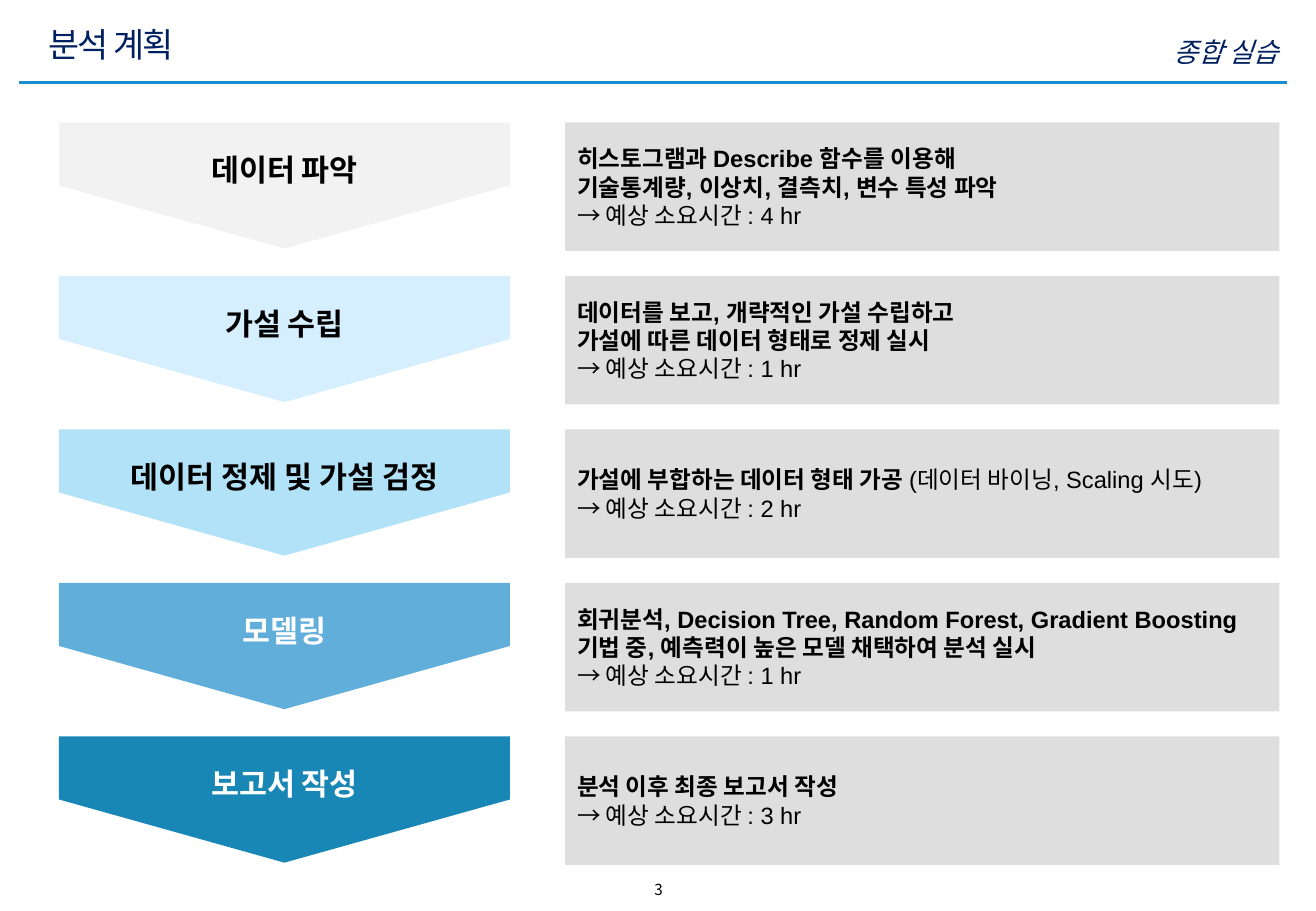
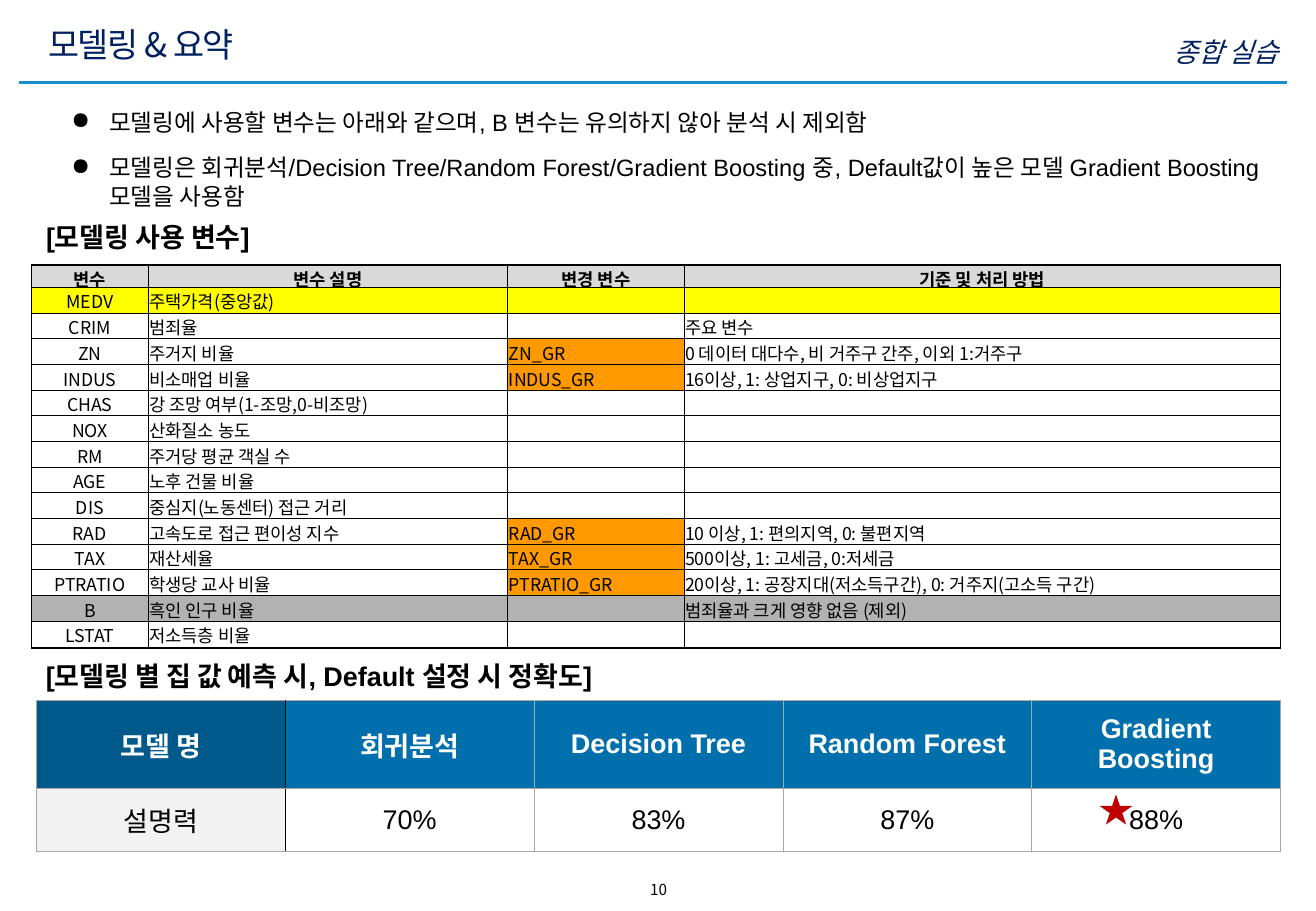
import lxml.etree
import pptx
import pptx.dml.color
import pptx.enum.shapes
import pptx.enum.text
import pptx.oxml.ns
import pptx.util

Pt = pptx.util.Pt
RGB = pptx.dml.color.RGBColor.from_string
qn = pptx.oxml.ns.qn
SubElement = lxml.etree.SubElement
SHAPE = pptx.enum.shapes.MSO_SHAPE
ALIGN = pptx.enum.text.PP_ALIGN
ANCHOR = pptx.enum.text.MSO_ANCHOR

COLOURS = {
    "black": "000000", "white": "FFFFFF", "navy": "002060", "rule": "188DD0",
    "panel": "BFBFBF", "step1": "F2F2F2", "step2": "D5EFFE", "step3": "B2E2F8",
    "step4": "61AEDA", "step5": "1887B5", "header": "D9D9D9", "target": "FFFF00",
    "derived": "FF9900", "excluded": "B2B2B2", "grid": "A6A6A6",
    "corner": "00598B", "model": "006FAC", "label": "F2F2F2", "star": "C00000",
}
KR, SC, LATIN = "Noto Sans CJK KR", "Noto Sans CJK SC", "Arial"

prs = pptx.Presentation()
prs.slide_width = pptx.util.Inches(10.83)
prs.slide_height = pptx.util.Inches(7.5)
W, H = prs.slide_width / 100, prs.slide_height / 100


def put(s, kind, box, lines=(), size=14, colour="black", font=LATIN, bold=False,
        italic=False, align=ALIGN.LEFT, anchor=ANCHOR.TOP, fill=None):
    """Add a text box (kind None) or preset shape; box is in percent of the slide."""
    x, y, w, h = box
    pos = int(x * W), int(y * H), int(w * W), int(h * H)
    if kind is None:
        sp = s.shapes.add_textbox(*pos)
    else:
        sp = s.shapes.add_shape(kind, *pos)
        sp.shadow.inherit = False
        sp.fill.solid()
        sp.fill.fore_color.rgb = RGB(COLOURS[fill])
        sp.line.fill.background()
    tf = sp.text_frame
    tf.word_wrap = True
    tf.vertical_anchor = anchor
    for i, line in enumerate(lines):
        p = tf.paragraphs[0] if i == 0 else tf.add_paragraph()
        p.text = line
        p.alignment = align
        p.font.size, p.font.name = Pt(size), font
        p.font.bold, p.font.italic = bold, italic
        p.font.color.rgb = RGB(COLOURS[colour])
    return sp


def set_cell(cell, text, size, font, borders, colour="black", bold=False,
             align=ALIGN.CENTER, fill=None):
    """Write and style a cell; borders maps L, R, T, B to (colour, points)."""
    cell.vertical_anchor = ANCHOR.MIDDLE
    p = cell.text_frame.paragraphs[0]
    p.alignment = align
    p.font.size, p.font.name, p.font.bold = Pt(size), font, bold
    p.font.color.rgb = RGB(COLOURS[colour])
    if text:
        p.add_run().text = text
    else:
        SubElement(p._p, qn("a:endParaRPr"), sz=str(int(size * 100)))
    tcPr = cell._tc.get_or_add_tcPr()
    for side, (line, width) in borders.items():
        ln = SubElement(tcPr, qn("a:ln" + side), w=str(Pt(width)))
        SubElement(SubElement(ln, qn("a:solidFill")), qn("a:srgbClr"), val=COLOURS[line])
    if fill:
        cell.fill.solid()
        cell.fill.fore_color.rgb = RGB(COLOURS[fill])
    else:
        cell.fill.background()


# Shared frame: rule, page number, section tag and title
slides = []
for title, number in (("분석 계획", "3"), ("모델링 & 요약", "10")):
    s = prs.slides.add_slide(prs.slide_layouts[6])
    slides.append(s)
    rule = s.shapes.add_connector(pptx.enum.shapes.MSO_CONNECTOR.STRAIGHT,
                                  int(1.48 * W), int(9.07 * H), int(97.78 * W), int(9.07 * H))
    rule.line.color.rgb = RGB(COLOURS["rule"])
    rule.line.width = Pt(2)
    SubElement(rule._element.spPr, qn("a:effectLst"))
    put(s, None, (40.54, 96, 19.02, 3.33), [number], 9, font=KR, align=ALIGN.CENTER)
    put(s, None, (60.48, 3.2, 37.58, 4), ["종합 실습"], 16, "navy", KR,
        italic=True, align=ALIGN.RIGHT)
    sp = put(s, None, (2.77, 2, 78.58, 5.73), [title], 20, "navy", KR, anchor=ANCHOR.MIDDLE)
    sp.text_frame.paragraphs[0].runs[0].font._element.set("spc", "-100")
plan, summary = slides

# Plan: five steps, each a downward plate with a panel beside it
STEPS = [
    ("데이터 파악", "black", ["히스토그램과 Describe 함수를 이용해",
                         "기술통계량, 이상치, 결측치, 변수 특성 파악"], "", 4),
    ("가설 수립", "black", ["데이터를 보고, 개략적인 가설 수립하고",
                        "가설에 따른 데이터 형태로 정제 실시"], "", 1),
    ("데이터 정제 및 가설 검정", "black", ["가설에 부합하는 데이터 형태 가공 "],
     "(데이터 바이닝, Scaling 시도)", 2),
    ("모델링", "white", ["회귀분석, Decision Tree, Random Forest, Gradient Boosting "
                      "기법 중, 예측력이 높은 모델 채택하여 분석 실시"], "", 1),
    ("보고서 작성", "white", ["분석 이후 최종 보고서 작성"], "", 3),
]
STEP_TOP, STEP_PITCH = 13.43, 16.85
for i, (label, colour, work, remark, hours) in enumerate(STEPS):
    top = STEP_TOP + i * STEP_PITCH
    plate = put(plan, SHAPE.PENTAGON, (4.48, top, 34.26, 13.87), [label], 18, colour,
                bold=True, align=ALIGN.CENTER, anchor=ANCHOR.MIDDLE, fill=f"step{i + 1}")
    # The plate points right, so it is stood on end about its centre
    w, h = plate.width, plate.height
    plate.left, plate.top = plate.left + (w - h) // 2, plate.top + (h - w) // 2
    plate.width, plate.height = h, w
    plate.rotation = 90
    plate.text_frame._txBody.bodyPr.set("vert", "vert270")

    panel = put(plan, SHAPE.RECTANGLE, (42.94, top, 54.29, 14.13),
                work + [f"→ 예상 소요시간 : {hours} hr"],
                bold=True, anchor=ANCHOR.MIDDLE, fill="panel")
    rgb = panel._element.spPr.find(".//" + qn("a:srgbClr"))
    SubElement(rgb, qn("a:alpha"), val="50000")
    first, *_, last = panel.text_frame.paragraphs
    last.font.bold = False
    if remark:
        r = first.add_run()
        r.text = remark
        r.font.bold = False

# Summary: bullets and headings
NOTES = [
    "모델링에 사용할 변수는 아래와 같으며, B 변수는 유의하지 않아 분석 시 제외함",
    "모델링은 회귀분석/Decision Tree/Random Forest/Gradient Boosting 중, "
    "Default값이 높은 모델 Gradient Boosting 모델을 사용함",
]
sp = put(summary, None, (4.52, 11.2, 93.26, 13.33), NOTES)
indent = pptx.util.Inches(0.31)
for p in sp.text_frame.paragraphs:
    p.space_before = Pt(10)
    pPr = p._p.get_or_add_pPr()
    pPr.set("marL", str(indent))
    pPr.set("indent", str(-indent))
    bullet = lxml.etree.Element(qn("a:buChar"), char="●")
    pPr.find(qn("a:defRPr")).addprevious(bullet)

for heading, top, width in (("[모델링 사용 변수]", 23.6, 29.82),
                            ("[모델링 별 집 값 예측 시, Default 설정 시 정확도]", 71.73, 50.51)):
    put(summary, SHAPE.RECTANGLE, (2.59, top, width, 4.93), [heading], 16,
        bold=True, fill="white")

# Summary: both tables share one grid setup
VARIABLES = [
    ("변수", "변수 설명", "변경 변수", "기준 및 처리 방법"),
    ("MEDV", "주택가격(중앙값)", "", ""),
    ("CRIM", "범죄율", "", "주요 변수"),
    ("ZN", "주거지 비율", "ZN_GR", "0 데이터 대다수, 비 거주구 간주, 이외 1:거주구"),
    ("INDUS", "비소매업 비율", "INDUS_GR", "16이상, 1: 상업지구, 0: 비상업지구"),
    ("CHAS", "강 조망 여부(1-조망,0-비조망)", "", ""),
    ("NOX", "산화질소 농도", "", ""),
    ("RM", "주거당 평균 객실 수", "", ""),
    ("AGE", "노후 건물 비율", "", ""),
    ("DIS", "중심지(노동센터) 접근 거리", "", ""),
    ("RAD", "고속도로 접근 편이성 지수", "RAD_GR", "10 이상, 1: 편의지역, 0: 불편지역"),
    ("TAX", "재산세율", "TAX_GR", "500이상, 1: 고세금, 0:저세금"),
    ("PTRATIO", "학생당 교사 비율", "PTRATIO_GR",
     "20이상, 1: 공장지대(저소득구간), 0: 거주지(고소득 구간)"),
    ("B", "흑인 인구 비율", "", "범죄율과 크게 영향 없음 (제외)"),
    ("LSTAT", "저소득층 비율", "", ""),
]
MODELS = [
    ("모델 명", "회귀분석", "Decision Tree", "Random Forest", "Gradient Boosting"),
    ("설명력", "70%", "83%", "87%", "88%"),
]
LAYOUTS = [
    (MODELS, 2.77, 76.93, [18.91] * 5, [9.6, 6.93]),
    (VARIABLES, 2.4, 29.07, [8.86, 27.33, 13.39, 45.34], [2.35] + [2.82] * 13 + [2.93]),
]
tables = []
for rows, x, y, widths, heights in LAYOUTS:
    frame = summary.shapes.add_table(len(rows), len(widths), int(x * W), int(y * H),
                                     int(sum(widths) * W), int(sum(heights) * H))
    table = frame.table
    table.first_row = table.horz_banding = False
    for column, width in zip(table.columns, widths):
        column.width = int(width * W)
    for row, height in zip(table.rows, heights):
        row.height = int(height * H)
    tables.append(table)
model_table, variable_table = tables

for i, row in enumerate(MODELS):
    for j, text in enumerate(row):
        borders = dict.fromkeys("LRTB", ("grid", 0.5))
        if j < 2:
            borders["RL"[j]] = ("black", 1)
        fills = ("corner", "label") if j == 0 else ("model", None)
        set_cell(model_table.cell(i, j), text, 16, LATIN, borders,
                 "black" if i else "white", bold=i == 0, fill=fills[i])

ROW_FILLS = {"변수": "header", "MEDV": "target", "B": "excluded"}
for i, row in enumerate(VARIABLES):
    for j, text in enumerate(row):
        borders = dict.fromkeys("LRTB", ("black", 0.5))
        if i == 0:
            borders["T"] = ("black", 1)
        if i == len(VARIABLES) - 1:
            borders["B"] = ("black", 1)
        fill = ROW_FILLS.get(row[0]) or ("derived" if j == 2 and text else None)
        cell = variable_table.cell(i, j)
        cell.margin_left = cell.margin_right = cell.margin_top = pptx.util.Inches(0.01)
        cell.margin_bottom = 0
        set_cell(cell, text, 10.5, SC if i == 0 or j == 1 else KR, borders, bold=i == 0,
                 align=ALIGN.CENTER if i == 0 or j == 0 else ALIGN.LEFT, fill=fill)

put(summary, SHAPE.STAR_5_POINT, (83.56, 87.2, 2.49, 3.33), fill="star")

prs.save("out.pptx")
